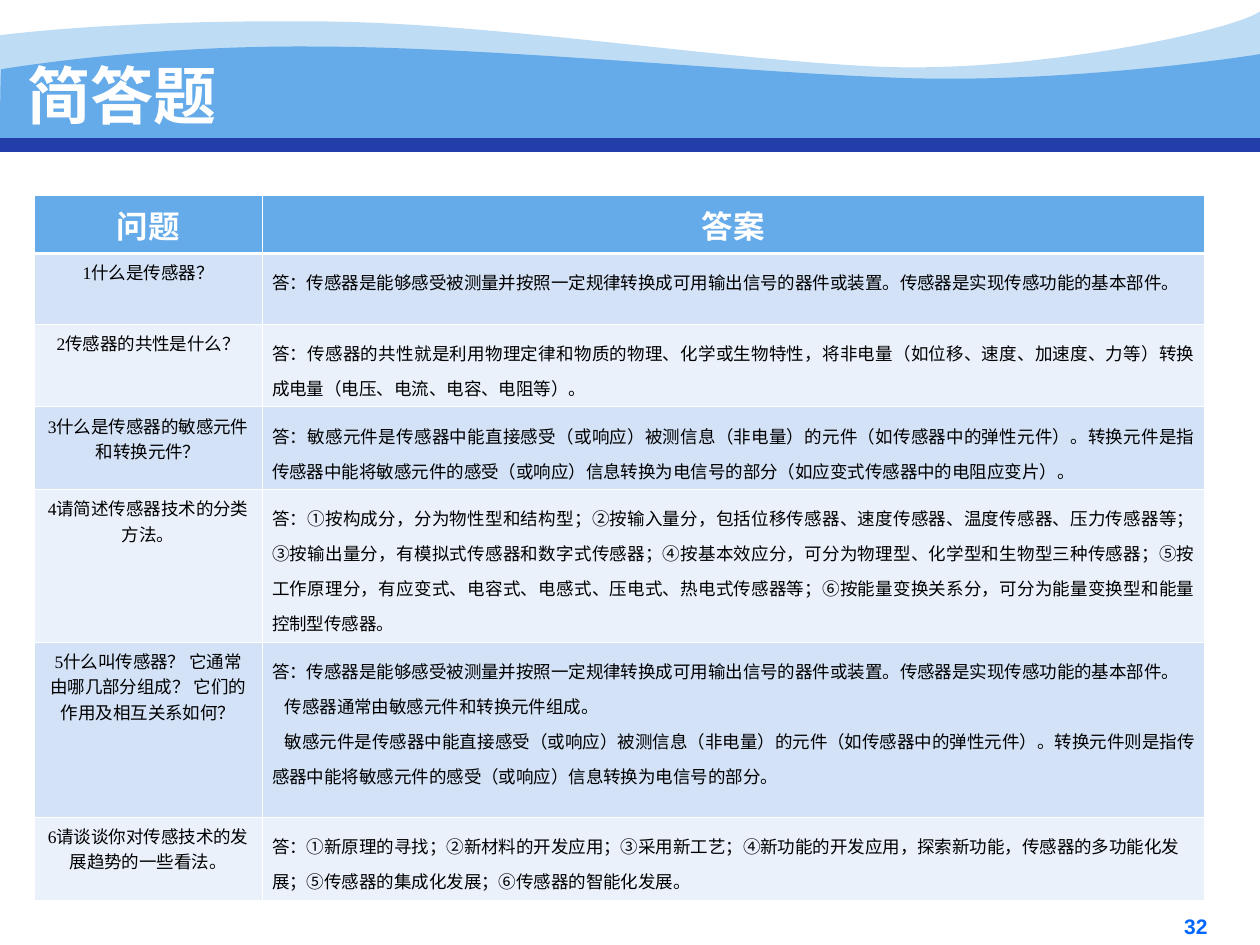
from dataclasses import dataclass

from lxml.etree import SubElement
from pptx import Presentation
from pptx.dml.color import RGBColor as RGB
from pptx.enum.shapes import MSO_CONNECTOR as LINK, MSO_SHAPE as SHAPE
from pptx.enum.text import MSO_ANCHOR as ANCHOR, MSO_AUTO_SIZE as SIZE, PP_ALIGN as ALIGN
from pptx.oxml.ns import qn
from pptx.util import Inches as In, Pt


@dataclass(frozen=True)
class Theme:
    sky: str = "65AAE9"
    navy: str = "233DA9"
    white: str = "FFFFFF"
    ink: str = "000000"
    page: str = "0066FF"
    bands: tuple = ("D3E2F7", "EAF1FB")
    head: str = "Arial"
    body: str = "Times New Roman"
    title: str = "Noto Sans Mono"
    big: int = 36
    mid: int = 18
    num: int = 12
    small: int = 10
    lead: int = 20
    thin: float = 0.45
    thick: float = 1.47


T = Theme()
WIDE, HIGH = 10, 7.5
EDGE = 1.15  # foot of the banner
COLS = (1.81, 7.48)
ROWS = (0.41, 0.56, 0.56, 0.56, 1.11, 1.39, 0.56)

# Each wave: a start point, then cubic curves (six numbers) and straight lines (two).
BACK = ((0, 0.28), [
    (0.24, 0.25, 1.07, 0.16, 2.47, 0.17), (3.86, 0.17, 5.75, 0.48, 6.99, 0.53),
    (8.22, 0.58, 9.8, 0.24, 10, 0.09), (10, 1.43),
    (8.58, 1.61, 7.87, 1.55, 7.05, 1.53), (6.22, 1.51, 5.15, 1.29, 3.43, 1.26),
    (1.72, 1.22, 0.04, 1.77, 0.01, 1.81), (-0.01, 1.86, 0, 0.53, 0, 0.28)])
FRONT = ((0.01, 0.55), [
    (0.02, 0.55, 1.1, 0.36, 2.48, 0.37), (3.86, 0.37, 5.95, 0.58, 7.18, 0.62),
    (8.41, 0.66, 9.76, 0.47, 10, 0.43), (10, 1.33),
    (8.53, 1.46, 7.65, 1.43, 6.82, 1.39), (5.99, 1.36, 4.47, 1.14, 3.17, 1.15),
    (2.03, 1.15, -0.02, 1.44, -0.01, 1.44), (0, 1.44, 0, 0.55, 0.01, 0.55)])

SENSOR = "答：传感器是能够感受被测量并按照一定规律转换成可用输出信号的器件或装置。传感器是实现传感功能的基本部件。"
QUIZ = [
    ("1什么是传感器？", [SENSOR]),
    ("2传感器的共性是什么？",
     ["答：传感器的共性就是利用物理定律和物质的物理、化学或生物特性，将非电量（如位移、速度、加速度、力等）"
      "转换成电量（电压、电流、电容、电阻等）。"]),
    ("3什么是传感器的敏感元件和转换元件？",
     ["答：敏感元件是传感器中能直接感受（或响应）被测信息（非电量）的元件（如传感器中的弹性元件）。"
      "转换元件是指传感器中能将敏感元件的感受（或响应）信息转换为电信号的部分（如应变式传感器中的电阻应变片）。"]),
    ("4请简述传感器技术的分类方法。",
     ["答：①按构成分，分为物性型和结构型；②按输入量分，包括位移传感器、速度传感器、温度传感器、压力传感器等；"
      "③按输出量分，有模拟式传感器和数字式传感器；④按基本效应分，可分为物理型、化学型和生物型三种传感器；"
      "⑤按工作原理分，有应变式、电容式、电感式、压电式、热电式传感器等；"
      "⑥按能量变换关系分，可分为能量变换型和能量控制型传感器。"]),
    ("5什么叫传感器？ 它通常由哪几部分组成？ 它们的作用及相互关系如何？",
     [SENSOR,
      "传感器通常由敏感元件和转换元件组成。",
      "敏感元件是传感器中能直接感受（或响应）被测信息（非电量）的元件（如传感器中的弹性元件）。"
      "转换元件则是指传感器中能将敏感元件的感受（或响应）信息转换为电信号的部分。"]),
    ("6请谈谈你对传感技术的发展趋势的一些看法。",
     ["答：①新原理的寻找；②新材料的开发应用；③采用新工艺；④新功能的开发应用，探索新功能，传感器的多功能化发展；"
      "⑤传感器的集成化发展；⑥传感器的智能化发展。"]),
]


def paint(fill, hue):
    fill.solid()
    fill.fore_color.rgb = RGB.from_string(hue)


def style(para, face, size, hue, bold=False, align=ALIGN.LEFT):
    para.alignment = align
    font = para.font
    font.name, font.size, font.bold = face, Pt(size), bold
    font.color.rgb = RGB.from_string(hue)


def plain(shape, hue):
    paint(shape.fill, hue)
    shape.line.fill.background()
    shape.shadow.inherit = False


def add_wave(slide, start, steps, alpha=None):
    """Lay out all points as lines, then join each curve's three into one Bézier."""
    pen = slide.shapes.build_freeform(*map(In, start))
    for step in steps:
        dots = [(In(x), In(y)) for x, y in zip(step[::2], step[1::2])]
        pen.add_line_segments(dots, close=step is steps[-1])
    shape = pen.convert_to_shape()
    lines = iter(list(shape._element.spPr.iter(qn("a:lnTo"))))
    for step in steps:
        first, *rest = [next(lines) for _ in step[::2]]
        if rest:
            curve = first.makeelement(qn("a:cubicBezTo"))
            first.addprevious(curve)
            for line in (first, *rest):
                curve.append(line[0])
                line.getparent().remove(line)
    plain(shape, T.sky)
    if alpha:
        tint = next(shape._element.spPr.iter(qn("a:srgbClr")))
        SubElement(tint, qn("a:alpha"), val=str(alpha * 1000))


def add_banner(slide):
    add_wave(slide, *BACK, alpha=41)
    add_wave(slide, *FRONT)
    mask = slide.shapes.add_shape(SHAPE.RECTANGLE, 0, In(EDGE), In(WIDE), In(0.71))
    plain(mask, T.white)
    rule = slide.shapes.add_connector(LINK.STRAIGHT, 0, In(EDGE), In(WIDE), In(EDGE))
    rule.line.width = Pt(8)
    rule.line.color.rgb = RGB.from_string(T.navy)
    SubElement(rule._element.spPr, qn("a:effectLst"))


def set_title(slide, text):
    title = slide.shapes.title
    slide.shapes._spTree.append(title._element)  # in front of the banner
    title.left, title.top, title.width, title.height = map(In, (0.12, 0.44, 6.46, 0.62))
    frame = title.text_frame
    frame.text = text
    frame.auto_size, frame.vertical_anchor = SIZE.NONE, ANCHOR.MIDDLE
    style(frame.paragraphs[0], T.title, T.big, T.white, True)


def add_page(slide, text):
    frame = slide.shapes.add_textbox(*map(In, (9.3, 7.2, 1.01, 0.3))).text_frame
    frame.word_wrap = True
    frame.text = text
    style(frame.paragraphs[0], T.head, T.num, T.page, True)


def set_cell(cell, texts, hue, pad, row):
    """Fill one cell, with a thick rule between heading and body."""
    cell.margin_left = cell.margin_right = In(pad)
    cell.margin_top = cell.margin_bottom = In(0.05)
    cell.text = "\n".join(texts)
    sides = {"lnL": T.thin, "lnR": T.thin,
             "lnT": T.thick if row == 1 else T.thin,
             "lnB": T.thick if row == 0 else T.thin}
    props = cell._tc.get_or_add_tcPr()
    for side, width in sides.items():
        line = SubElement(props, qn("a:" + side), w=str(Pt(width)))
        SubElement(SubElement(line, qn("a:solidFill")), qn("a:srgbClr"), val=T.white)
    paint(cell.fill, hue)
    return cell.text_frame.paragraphs


def add_quiz(slide):
    grid = slide.shapes.add_table(len(ROWS), len(COLS), In(0.27), In(1.55),
                                  In(sum(COLS)), In(sum(ROWS))).table
    for col, width in zip(grid.columns, COLS):
        col.width = In(width)
    for row, height in zip(grid.rows, ROWS):
        row.height = In(height)
    for col, text in enumerate(("问题", "答案")):
        para, = set_cell(grid.cell(0, col), [text], T.sky, 0.1, 0)
        style(para, T.head, T.mid, T.white, True, ALIGN.CENTER)
    for row, (ask, reply) in enumerate(QUIZ, 1):
        hue = T.bands[(row - 1) % 2]
        para, = set_cell(grid.cell(row, 0), [ask], hue, 0.1, row)
        style(para, T.body, T.small, T.ink, align=ALIGN.CENTER)
        align = ALIGN.LEFT if row == len(QUIZ) else ALIGN.JUSTIFY
        for i, para in enumerate(set_cell(grid.cell(row, 1), reply, hue, 0.08, row)):
            style(para, T.body, T.small, T.ink, align=align)
            para.line_spacing = Pt(T.lead)
            if i:
                para._p.get_or_add_pPr().set("indent", str(In(0.1)))


def main():
    deck = Presentation()
    deck.slide_width, deck.slide_height = In(WIDE), In(HIGH)
    slide = deck.slides.add_slide(deck.slide_layouts[5])
    add_banner(slide)
    add_page(slide, "32")
    set_title(slide, "简答题")
    add_quiz(slide)
    deck.save("out.pptx")


if __name__ == "__main__":
    main()
